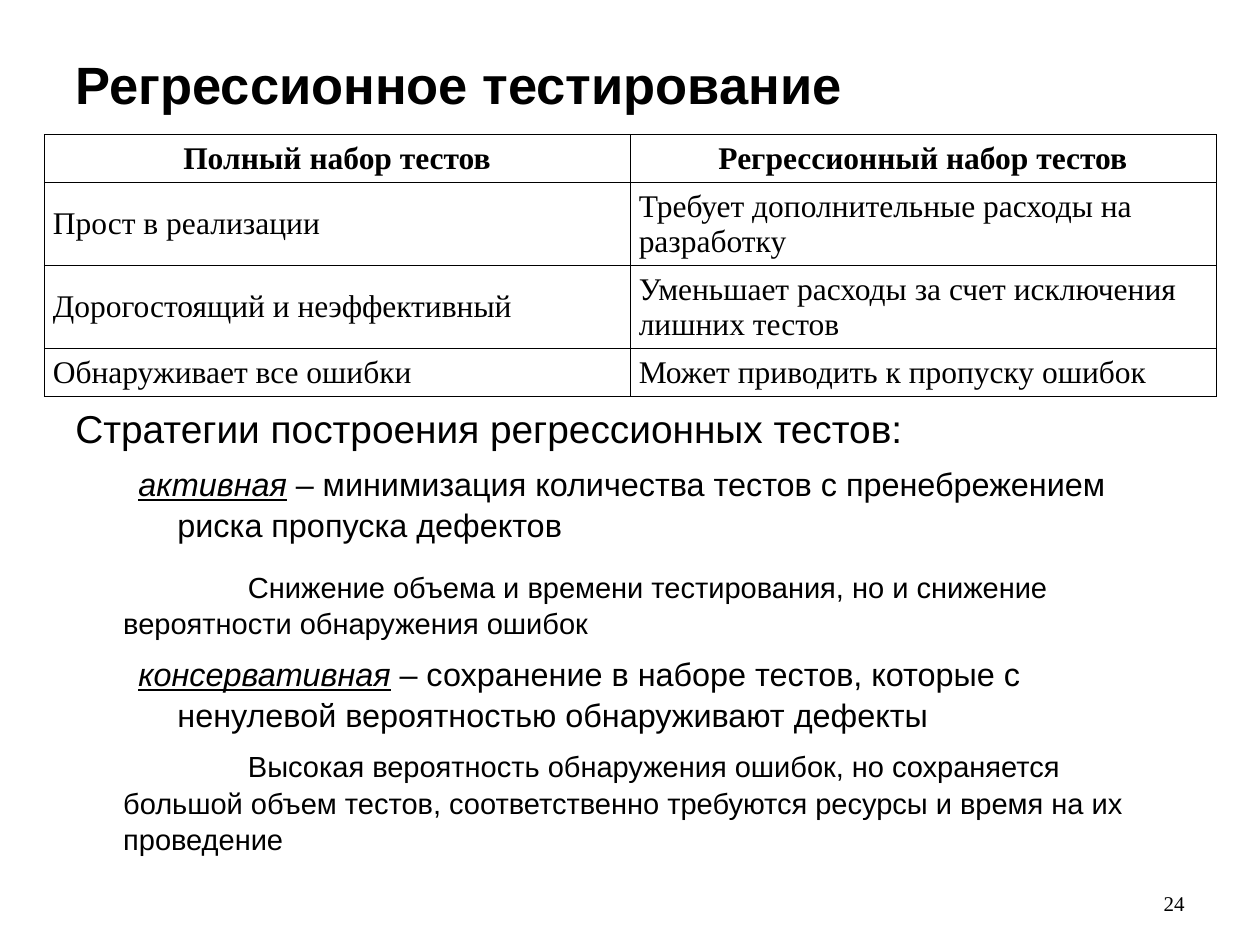
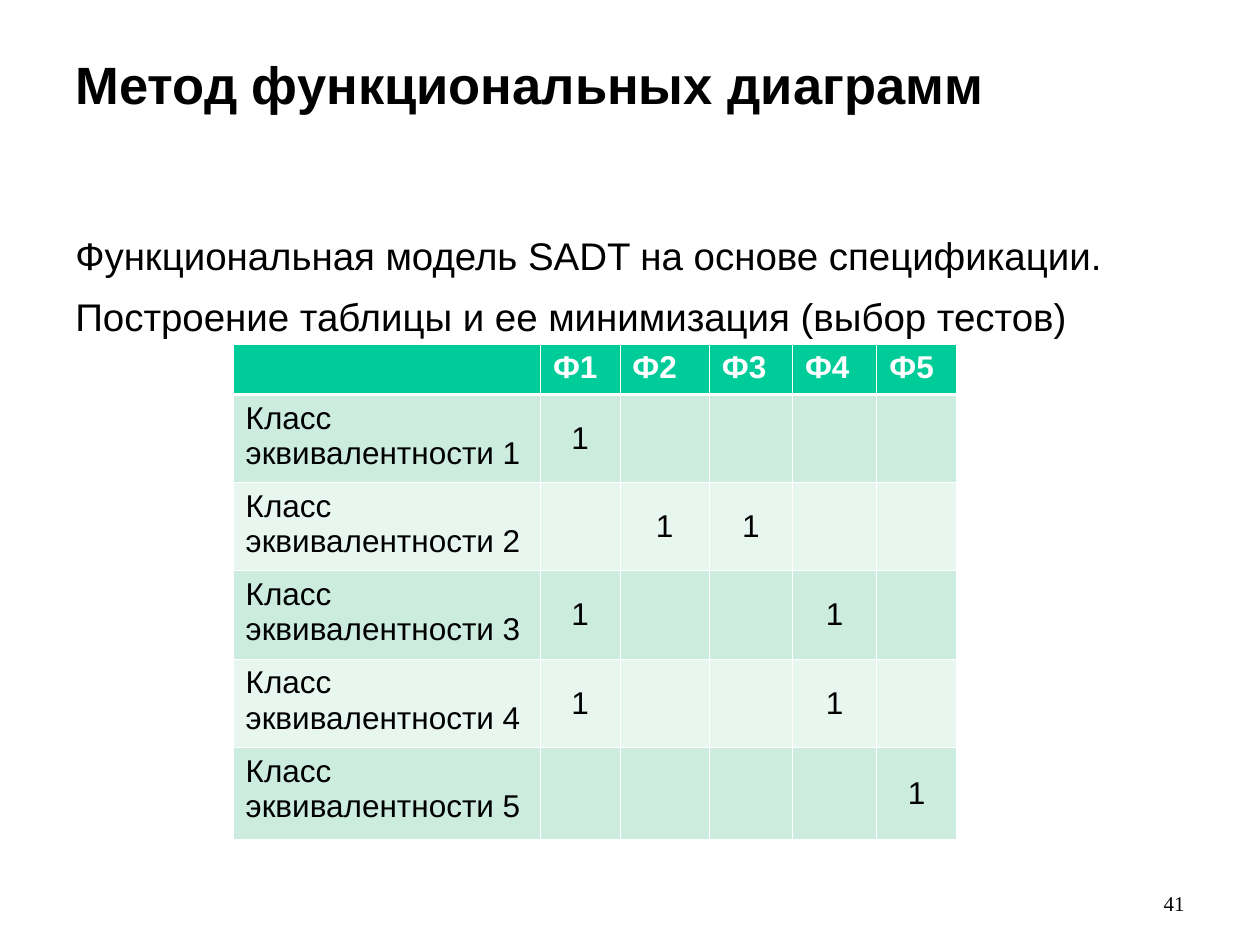
"""Build two slides on regression testing and functional diagrams."""
from lxml import etree
from pptx import Presentation
from pptx.dml.color import RGBColor
from pptx.enum import text
from pptx.oxml import ns
from pptx.util import Inches, Pt

BLACK = RGBColor(0x00, 0x00, 0x00)
WHITE = RGBColor(0xFF, 0xFF, 0xFF)
GREEN = RGBColor(0x00, 0xCC, 0x99)
BANDS = (RGBColor(0xCB, 0xEC, 0xDE), RGBColor(0xE7, 0xF6, 0xEF))
SANS, SERIF = "Arial", "Times New Roman"
LEFT, CENTER, RIGHT = text.PP_ALIGN.LEFT, text.PP_ALIGN.CENTER, text.PP_ALIGN.RIGHT
TOP, MIDDLE, BOTTOM = text.MSO_ANCHOR.TOP, text.MSO_ANCHOR.MIDDLE, text.MSO_ANCHOR.BOTTOM

# style: size, left margin, first-line indent, space before
STYLES = {
    "heading": (22.2, 0.38, -0.38, 7.5),
    "strategy": (18.5, 0.81, -0.31, 6.5),
    "first effect": (16.6, 0.38, 0.99, 13.5),
    "effect": (16.6, 0.38, 0.99, 7.5),
    "step": (22, 0.38, -0.38, 7.5),
}
STRATEGIES = [
    ("heading", "", "Стратегии построения регрессионных тестов:"),
    ("strategy", "активная",
     " – минимизация количества тестов с пренебрежением риска пропуска дефектов"),
    ("first effect", "",
     "Снижение объема и времени тестирования, но и снижение вероятности обнаружения ошибок"),
    ("strategy", "консервативная",
     " – сохранение в наборе тестов, которые с ненулевой вероятностью обнаруживают дефекты"),
    ("effect", "",
     "Высокая вероятность обнаружения ошибок, но сохраняется большой объем тестов, "
     "соответственно требуются ресурсы и время на их проведение"),
]
STEPS = [
    ("step", "", "Функциональная модель SADT на основе спецификации."),
    ("step", "", "Построение таблицы и ее минимизация (выбор тестов)"),
]
COMPARISON = [
    ("Полный набор тестов", "Регрессионный набор тестов"),
    ("Прост в реализации", "Требует дополнительные расходы на разработку"),
    ("Дорогостоящий и неэффективный", "Уменьшает расходы за счет исключения лишних тестов"),
    ("Обнаруживает все ошибки", "Может приводить к пропуску ошибок"),
]
FUNCTIONS = ["Ф1", "Ф2", "Ф3", "Ф4", "Ф5"]
COVERAGE = [{1}, {2, 3}, {1, 4}, {1, 4}, {5}]


def style_font(font, face, size, color=BLACK, bold=False):
    font.name, font.size, font.bold = face, Pt(size), bold
    font.color.rgb = color


def set_frame(frame, anchor, inset_top=0.05):
    frame.word_wrap = True
    frame.auto_size = text.MSO_AUTO_SIZE.NONE
    frame.vertical_anchor = anchor
    frame.margin_left = frame.margin_right = Inches(0.1)
    frame.margin_top, frame.margin_bottom = Inches(inset_top), Inches(0.05)


def add_page(deck, title, title_height, number):
    page = deck.slides.add_slide(deck.slide_layouts[5])
    heading = page.shapes.title
    heading.left, heading.top = Inches(0.5), Inches(0.3)
    heading.width, heading.height = Inches(9), Inches(title_height)
    heading.text_frame.text = title
    set_frame(heading.text_frame, TOP, 0.11)
    para = heading.text_frame.paragraphs[0]
    para.alignment = LEFT
    style_font(para.runs[0].font, SANS, 30, bold=True)

    footer = page.shapes.add_textbox(Inches(7.17), Inches(6.83), Inches(2.33), Inches(0.49))
    footer.text_frame.text = number
    set_frame(footer.text_frame, BOTTOM)
    para = footer.text_frame.paragraphs[0]
    para.alignment = RIGHT
    style_font(para.runs[0].font, SERIF, 12)
    return page


def add_body(page, top, height, items):
    box = page.shapes.add_textbox(Inches(0.5), Inches(top), Inches(9), Inches(height))
    frame = box.text_frame
    set_frame(frame, TOP, 0.07)
    for index, (style, term, words) in enumerate(items):
        size, margin, indent, before = STYLES[style]
        para = frame.add_paragraph() if index else frame.paragraphs[0]
        properties = para._p.get_or_add_pPr()
        properties.set("marL", str(Inches(margin)))
        properties.set("indent", str(Inches(indent)))
        para.line_spacing = 1.05
        if index:
            para.space_before = Pt(before)
        for part in filter(None, (term, words)):
            span = para.add_run()
            span.text = part
            style_font(span.font, SANS, size)
            if part == term:
                span.font.italic = span.font.underline = True


def add_grid(page, left, top, widths, heights):
    frame = page.shapes.add_table(len(heights), len(widths), Inches(left), Inches(top),
                                  Inches(sum(widths)), Inches(sum(heights)))
    table = frame.table
    table.first_row = table.horz_banding = False
    for column, width in zip(table.columns, widths):
        column.width = Inches(width)
    for row, height in zip(table.rows, heights):
        row.height = Inches(height)
    return table


def set_borders(cell, color, widths):
    properties = cell._tc.get_or_add_tcPr()
    for index, (side, width) in enumerate(zip("LRTB", widths)):
        line = etree.Element(ns.qn(f"a:ln{side}"), w=str(Pt(width)))
        fill = etree.SubElement(line, ns.qn("a:solidFill"))
        etree.SubElement(fill, ns.qn("a:srgbClr"), val=str(color))
        properties.insert(index, line)


def fill_cell(cell, words, face, align, anchor, color=BLACK, bold=False):
    cell.text = words
    cell.vertical_anchor = anchor
    para = cell.text_frame.paragraphs[0]
    para.alignment = align
    style_font(para.font, face, 18, color, bold)
    for span in para.runs:
        style_font(span.font, face, 18, color, bold)


def build_regression(deck):
    page = add_page(deck, "Регрессионное тестирование", 0.85, "24")
    add_body(page, 3.12, 3.59, STRATEGIES)
    table = add_grid(page, 0.35, 1.07, [4.65] * 2, [0.37, 0.66, 0.66, 0.37])
    for row, labels in enumerate(COMPARISON):
        for column, label in enumerate(labels):
            cell = table.cell(row, column)
            fill_cell(cell, label, SERIF, LEFT if row else CENTER, MIDDLE, bold=row == 0)
            cell.margin_left = cell.margin_right = Inches(0.07)
            cell.fill.background()
            set_borders(cell, BLACK, [0.45] * 4)


def build_diagrams(deck):
    page = add_page(deck, "Метод функциональных диаграмм", 1.24, "41")
    add_body(page, 1.75, 4.95, STEPS)
    table = add_grid(page, 1.85, 2.73, [2.44, 0.63, 0.71, 0.66, 0.67, 0.63],
                     [0.4] + [0.7] * 4 + [0.73])
    rows = [[""] + FUNCTIONS]
    for number, covered in enumerate(COVERAGE, 1):
        marks = ["1" if column in covered else "" for column in range(1, len(FUNCTIONS) + 1)]
        rows.append([f"Класс эквивалентности {number}"] + marks)
    for row, labels in enumerate(rows):
        for column, label in enumerate(labels):
            cell = table.cell(row, column)
            if row == 0:
                fill_cell(cell, label, SANS, LEFT, TOP, WHITE, True)
            elif column == 0:
                fill_cell(cell, label, SANS, LEFT, TOP)
            else:
                fill_cell(cell, label, SANS, CENTER, MIDDLE)
            cell.fill.solid()
            cell.fill.fore_color.rgb = BANDS[(row - 1) % 2] if row else GREEN
            above, below = (1.47 if row == edge else 0.45 for edge in (1, 0))
            set_borders(cell, WHITE, [0.45, 0.45, above, below])


def main():
    deck = Presentation()
    deck.slide_width, deck.slide_height = Inches(10), Inches(7.5)
    build_regression(deck)
    build_diagrams(deck)
    deck.save("out.pptx")


if __name__ == "__main__":
    main()
